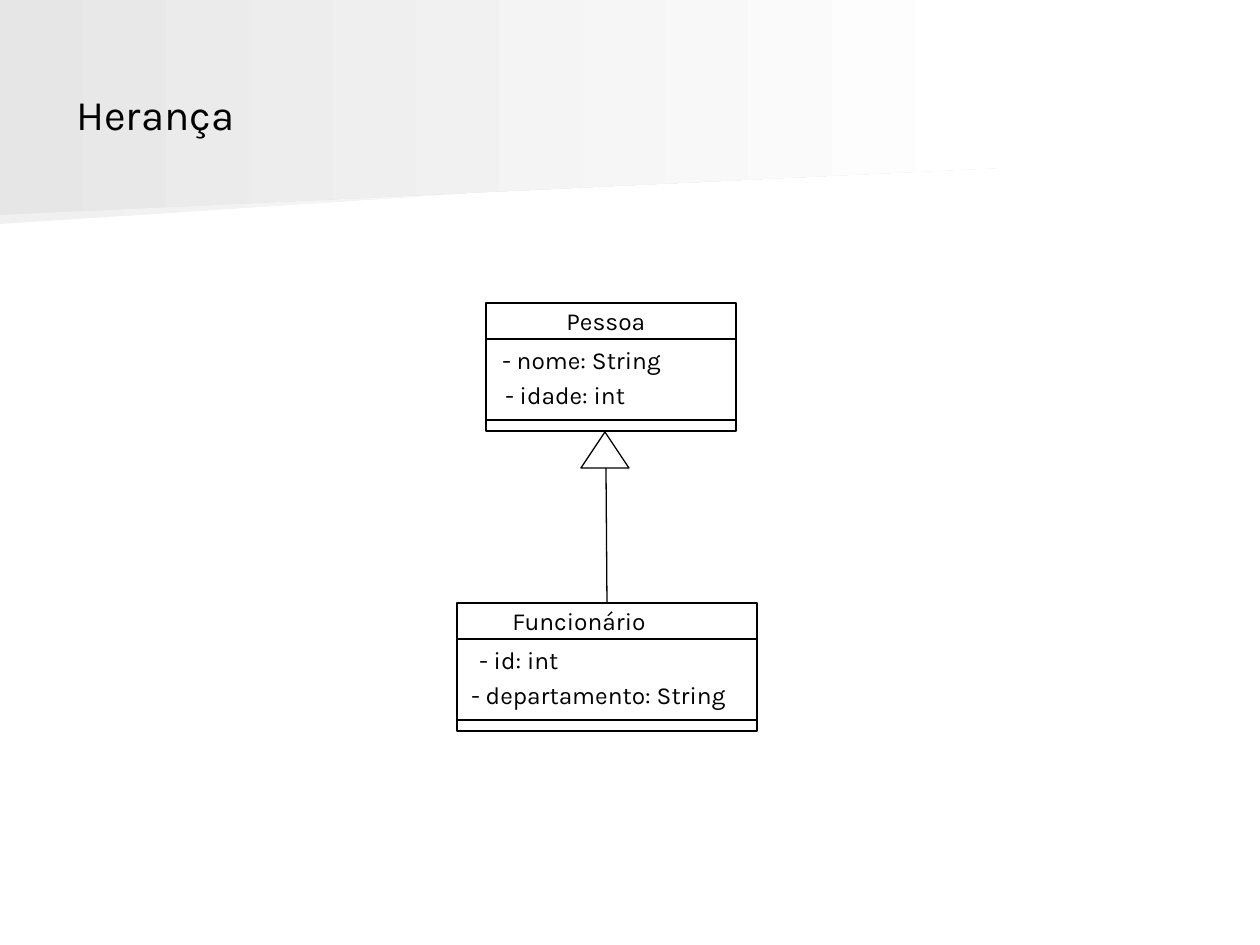
from dataclasses import dataclass

from lxml.etree import SubElement
from pptx import Presentation
from pptx.dml.color import RGBColor as Rgb
from pptx.enum.shapes import MSO_CONNECTOR as Conn, MSO_SHAPE as Kind
from pptx.enum.text import MSO_ANCHOR as Anchor, MSO_AUTO_SIZE as Fit
from pptx.oxml.ns import qn
from pptx.util import Pt


@dataclass
class Theme:
    font: str = "Karla"
    ink: str = "000000"
    back: str = "F0F0F0"
    front: str = "E6E6E6"
    fade: str = "FFFFFF"
    title: int = 24
    body: int = 14
    rule: float = 0.75


look = Theme()
PX = 914400 / 126  # EMU per px

deck = Presentation()
deck.slide_width, deck.slide_height = round(1260 * PX), round(945 * PX)
slide = deck.slides.add_slide(deck.slide_layouts[6])
shapes = slide.shapes


def emu(*nums):
    return [round(n * PX) for n in nums]


def write(text, left, top, width, height=43, size=look.body, wrap=False, anchor=Anchor.TOP):
    frame = shapes.add_textbox(*emu(left, top, width, height)).text_frame
    frame.word_wrap = wrap
    frame.auto_size = Fit.NONE if wrap else Fit.SHAPE_TO_FIT_TEXT
    frame.vertical_anchor = anchor
    run = frame.paragraphs[0].add_run()
    run.text = text
    run.font.name, run.font.size = look.font, Pt(size)
    run.font.color.rgb = Rgb.from_string(look.ink)


# Header bands, fading to the right
bands = [
    (look.back, [(0, 224), (0, 105), (982, 105), (981, 159)]),
    (look.front, [(0, 215), (0, 0), (998, 0), (998, 168)]),
]
for tone, points in bands:
    path = shapes.build_freeform(*points[0], scale=PX)
    path.add_line_segments(points[1:], close=True)
    band = path.convert_to_shape()
    band.shadow.inherit = False
    band.line.fill.background()
    band.fill.gradient()
    band.fill.gradient_angle = 0
    for stop, shade in zip(band.fill.gradient_stops, (tone, look.fade)):
        stop.color.rgb = Rgb.from_string(shade)

write("Herança", 64, 35, 1134, 158, size=look.title, wrap=True, anchor=Anchor.MIDDLE)

# Class boxes: left, top, width, then text, left and width of each row
classes = [
    (486, 303, 250, [("Pessoa", 554, 106), ("- nome: String", 490, 188),
                     ("- idade: int", 493, 146)]),
    (457, 603, 300, [("Funcionário", 500, 161), ("- id: int", 467, 105),
                     ("- departamento: String", 459, 287)]),
]
outlines = [(Kind.ISOSCELES_TRIANGLE, 581, 432, 48, 36)]
lines = [(606, 468, 607, 603)]
for left, top, width, rows in classes:
    outlines.append((Kind.RECTANGLE, left, top, width, 128))
    for drop in (36, 117):
        lines.append((left + 1, top + drop, left + width - 1, top + drop))
    for (text, start, span), drop in zip(rows, (-3, 36, 71)):
        write(text, start, top + drop, span)

# Outlines of the classes and the inheritance arrowhead
for kind, *area in outlines:
    shape = shapes.add_shape(kind, *emu(*area))
    shape.shadow.inherit = False
    shape.fill.background()
    shape.line.color.rgb = Rgb.from_string(look.ink)
    shape.line.width = Pt(look.rule)

# Dividers and the inheritance line
for ends in lines:
    line = shapes.add_connector(Conn.STRAIGHT, *emu(*ends))
    line.line.color.rgb = Rgb.from_string(look.ink)
    line.line.width = Pt(look.rule)
    SubElement(line._element.spPr, qn("a:effectLst"))

deck.save("out.pptx")
